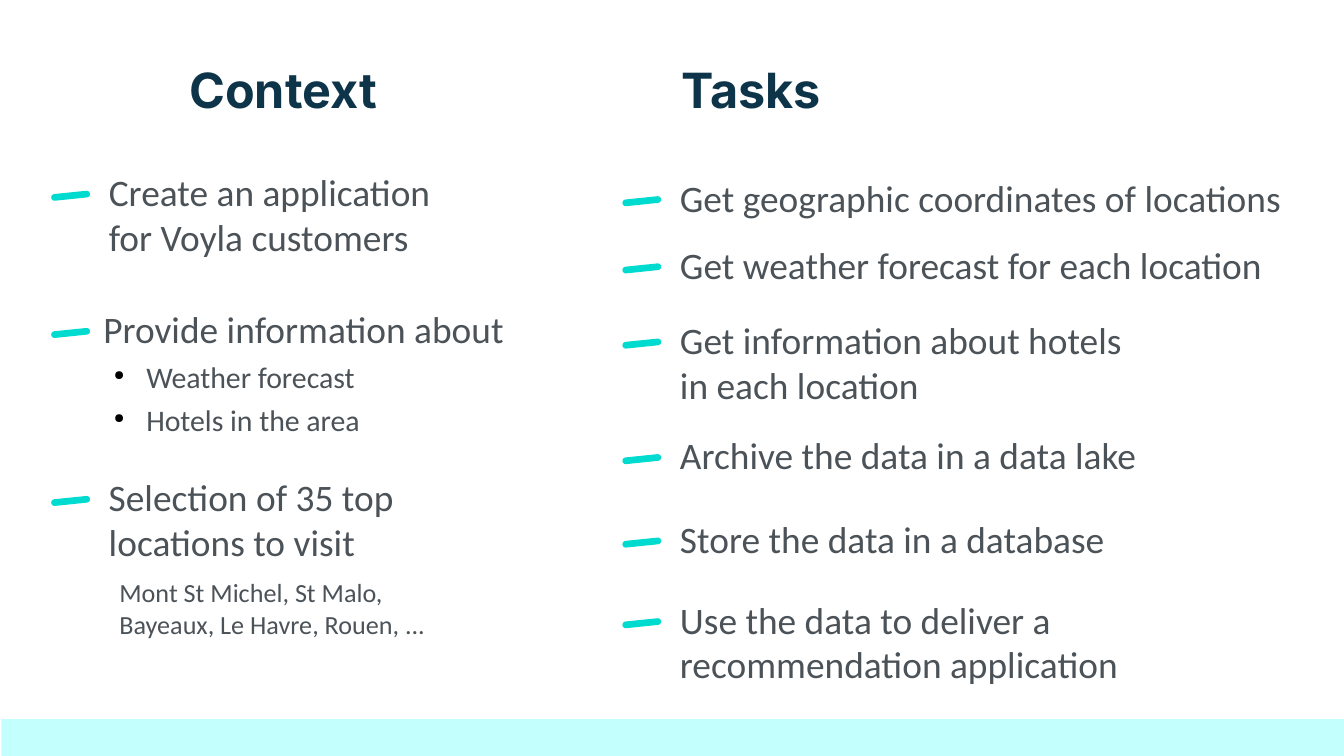
import pptx
import pptx.util
import pptx.dml.color
import pptx.enum.shapes
import pptx.oxml
import pptx.oxml.ns

Pt = pptx.util.Pt
RGBColor = pptx.dml.color.RGBColor
MSO_SHAPE = pptx.enum.shapes.MSO_SHAPE

NAVY = RGBColor(0x0E, 0x34, 0x49)
GREY = RGBColor(0x4B, 0x52, 0x58)
TEAL = RGBColor(0x00, 0xDB, 0xD0)
PALE_TEAL = RGBColor(0xC3, 0xFF, 0xFC)

SLIDE_W, SLIDE_H = 720, 405
COLUMN_TOP = 25.2
DASH_DROP = 19.6
TEXT_INDENT = 23.8

CONTEXT = [
    (TEXT_INDENT, 58.3, 195, 60, "Create an application for Voyla customers"),
    (20.9, 131.8, 237.6, 42, "Provide information about"),
    (TEXT_INDENT, 221.8, 197.3, 70, "Selection of 35 top locations to visit"),
]
PLACES = "Mont St Michel, St Malo, Bayeaux, Le Havre, Rouen, ..."
TASKS = [
    (TEXT_INDENT, 61.2, 345.6, 39, "Get geographic coordinates of locations"),
    (TEXT_INDENT, 97.2, 337.7, 42, "Get weather forecast for each location"),
    (TEXT_INDENT, 137.5, 260.6, 63.4, "Get information about hotels in each location"),
    (TEXT_INDENT, 199.4, 272.2, 42, "Archive the data in a data lake"),
    (TEXT_INDENT, 244.1, 272.2, 42, "Store the data in a database"),
    (TEXT_INDENT, 287.3, 259.2, 60, "Use the data to deliver a recommendation application"),
]


def add_bullet(p):
    pPr = p._p.get_or_add_pPr()
    pPr.set("marL", str(Pt(17.3)))
    pPr.set("indent", str(-Pt(17.3)))
    ns = pptx.oxml.ns.nsdecls("a")
    for xml in (
        f'<a:buClr {ns}><a:srgbClr val="000000"/></a:buClr>',
        f'<a:buSzPct {ns} val="45000"/>',
        f'<a:buChar {ns} char="●"/>',
    ):
        pPr.append(pptx.oxml.parse_xml(xml))


def add_text(s, x, y, w, h, text, size=20, font="Calibri", color=GREY, bold=False, bullet=False):
    tf = s.shapes.add_textbox(Pt(x), Pt(y), Pt(w), Pt(h)).text_frame
    tf.word_wrap = True
    tf.margin_left = tf.margin_right = tf.margin_top = tf.margin_bottom = Pt(7.2)
    p = tf.paragraphs[0]
    p.text = text
    if bullet:
        add_bullet(p)
    r = p.runs[0]
    r.font.size = Pt(size)
    r.font.name = font
    r.font.bold = bold
    r.font.color.rgb = color


def add_filled(s, kind, x, y, w, h, color):
    sp = s.shapes.add_shape(kind, Pt(x), Pt(y), Pt(w), Pt(h))
    sp.shadow.inherit = False
    sp.fill.solid()
    sp.fill.fore_color.rgb = color
    sp.line.fill.background()
    return sp


def add_column(s, x, y, heading, heading_dx, items):
    add_text(s, x + heading_dx, y, 144, 49, heading, 26, "Inter", NAVY, True)
    for dx, dy, w, h, text in items:
        add_text(s, x + dx, y + dy, w, h, text)
        dash = add_filled(s, MSO_SHAPE.ROUNDED_RECTANGLE, x, y + dy + DASH_DROP, 20.9, 3.6, TEAL)
        dash.adjustments[0] = 0.5
        dash.rotation = 354.1


def add_context(s, x, y):
    add_column(s, x, y, "Context", 67, CONTEXT)
    for i, text in enumerate(["Weather forecast", "Hotels in the area"]):
        add_text(s, x + 26.6, y + 159.8 + i * 23.1, 187.2, 33, text, 16, bullet=True)
    add_text(s, x + 29.5, y + 276.5, 187.2, 50, PLACES, 14)


def add_tasks(s, x, y):
    add_column(s, x, y, "Tasks", 24.5, TASKS)


def add_footer(s, x, y, w, h):
    add_filled(s, MSO_SHAPE.RECTANGLE, x, y, w, h, PALE_TEAL)


def main():
    prs = pptx.Presentation()
    prs.slide_width, prs.slide_height = Pt(SLIDE_W), Pt(SLIDE_H)
    s = prs.slides.add_slide(prs.slide_layouts[6])
    add_footer(s, 0.7, 385.2, SLIDE_W - 0.7, SLIDE_H - 385.2)
    add_context(s, 27.4, COLUMN_TOP)
    add_tasks(s, 333.4, COLUMN_TOP)
    prs.save("out.pptx")


if __name__ == "__main__":
    main()
